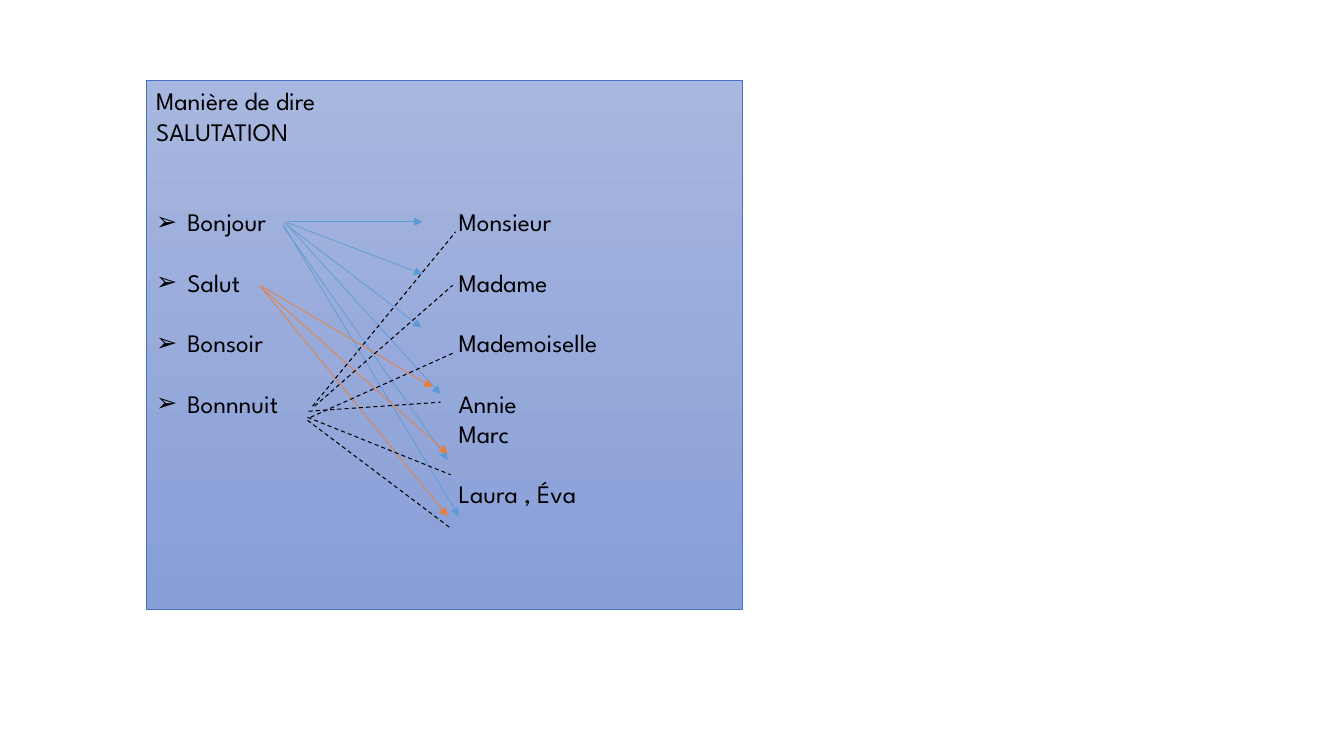
from dataclasses import dataclass

from pptx import Presentation
from pptx.dml.color import RGBColor
from pptx.enum.dml import MSO_LINE_DASH_STYLE as Dash
from pptx.enum.shapes import MSO_CONNECTOR as Connector, MSO_SHAPE as Shape
from pptx.enum.text import MSO_ANCHOR as Anchor, PP_ALIGN as Align
from pptx.oxml.ns import qn
from pptx.util import Inches, Pt
from lxml.etree import SubElement


@dataclass(frozen=True)
class Theme:
    font: str = "League Spartan"
    text_size: float = 18
    line_pitch: float = 21.6
    text: str = "000000"
    panel_top: str = "A8B7DF"
    panel_bottom: str = "889ED7"
    panel_border: str = "4472C4"
    bonjour: str = "5B9BD5"
    salut: str = "ED7D31"
    bonnuit: str = "000000"
    thin: float = 0.5
    dashed: float = 0.75


THEME = Theme()

# Text, bulleted, empty lines above
LINES = [
    ("Manière de dire", False, 0),
    ("SALUTATION", False, 0),
    ("Bonjour\t\tMonsieur", True, 2),
    ("Salut\t\t\tMadame", True, 1),
    ("Bonsoir\t\tMademoiselle", True, 1),
    ("Bonnnuit\t\tAnnie", True, 1),
    ("\t\t\tMarc", False, 0),
    ("\t\t\tLaura , Éva", False, 1),
]

# Each link: start x, start y, end x, end y
BONJOUR_LINKS = [
    (2.85, 2.2, 4.19, 2.2),
    (2.85, 2.21, 4.19, 2.72),
    (2.84, 2.23, 4.18, 3.25),
    (2.82, 2.2, 4.37, 3.91),
    (2.81, 2.25, 4.44, 4.56),
    (2.81, 2.23, 4.55, 5.12),
]
SALUT_LINKS = [
    (2.59, 2.85, 4.44, 5.12),
    (2.59, 2.85, 4.44, 4.5),
    (2.58, 2.83, 4.29, 3.84),
]
BONNUIT_LINKS = [
    (3.1, 4.03, 4.52, 2.3),
    (3.12, 4.03, 4.49, 2.83),
    (3.08, 4.14, 4.5, 3.5),
    (3.06, 4.08, 4.37, 3.99),
    (3.05, 4.14, 4.47, 4.71),
    (3.05, 4.17, 4.47, 5.24),
]


def rgb(value):
    return RGBColor.from_string(value)


def add_panel(slide, left, top, width, height):
    panel = slide.shapes.add_shape(
        Shape.RECTANGLE, Inches(left), Inches(top), Inches(width), Inches(height))
    panel.shadow.inherit = False
    panel.fill.gradient()
    panel.fill.gradient_angle = 270
    for stop, color in zip(panel.fill.gradient_stops,
                           (THEME.panel_top, THEME.panel_bottom)):
        stop.color.rgb = rgb(color)
    # The two stops span the whole height
    panel.fill.gradient_stops[0].position = 0
    panel.fill.gradient_stops[1].position = 1
    panel.line.color.rgb = rgb(THEME.panel_border)
    panel.line.width = Pt(THEME.thin)
    return panel


def set_tab_width(paragraph, width):
    paragraph._p.get_or_add_pPr().set("defTabSz", str(width))


def add_bullet(paragraph):
    properties = paragraph._p.get_or_add_pPr()
    indent = Inches(0.31)
    properties.set("marL", str(indent))
    properties.set("indent", str(-indent))
    SubElement(properties, qn("a:buFont"), typeface="Arial")
    SubElement(properties, qn("a:buChar"), char="➢")


def write_lines(panel, lines):
    frame = panel.text_frame
    frame.word_wrap = True
    frame.vertical_anchor = Anchor.TOP
    frame.text = "\n".join(text for text, _, _ in lines)
    for paragraph, (_, bulleted, gap) in zip(frame.paragraphs, lines):
        paragraph.alignment = Align.LEFT
        paragraph.space_before = Pt(gap * THEME.line_pitch)
        set_tab_width(paragraph, Inches(1))
        if bulleted:
            add_bullet(paragraph)
        for run in paragraph.runs:
            run.font.name = THEME.font
            run.font.size = Pt(THEME.text_size)
            run.font.color.rgb = rgb(THEME.text)


def add_links(slide, links, color, dashed=False):
    """Draw dashed lines, or thin arrows when not dashed."""
    for link in links:
        connector = slide.shapes.add_connector(
            Connector.STRAIGHT, *(Inches(length) for length in link))
        connector.line.color.rgb = rgb(color)
        connector.line.width = Pt(THEME.dashed if dashed else THEME.thin)
        if dashed:
            connector.line.dash_style = Dash.DASH
        else:
            SubElement(connector.line._get_or_add_ln(), qn("a:tailEnd"), type="triangle")
        SubElement(connector._element.spPr, qn("a:effectLst"))


def main():
    presentation = Presentation()
    presentation.slide_width = Inches(13.33)
    presentation.slide_height = Inches(7.5)
    slide = presentation.slides.add_slide(presentation.slide_layouts[6])

    panel = add_panel(slide, 1.45, 0.8, 5.91, 5.25)
    write_lines(panel, LINES)
    add_links(slide, BONJOUR_LINKS, THEME.bonjour)
    add_links(slide, SALUT_LINKS, THEME.salut)
    add_links(slide, BONNUIT_LINKS, THEME.bonnuit, dashed=True)

    presentation.save("out.pptx")


if __name__ == "__main__":
    main()
